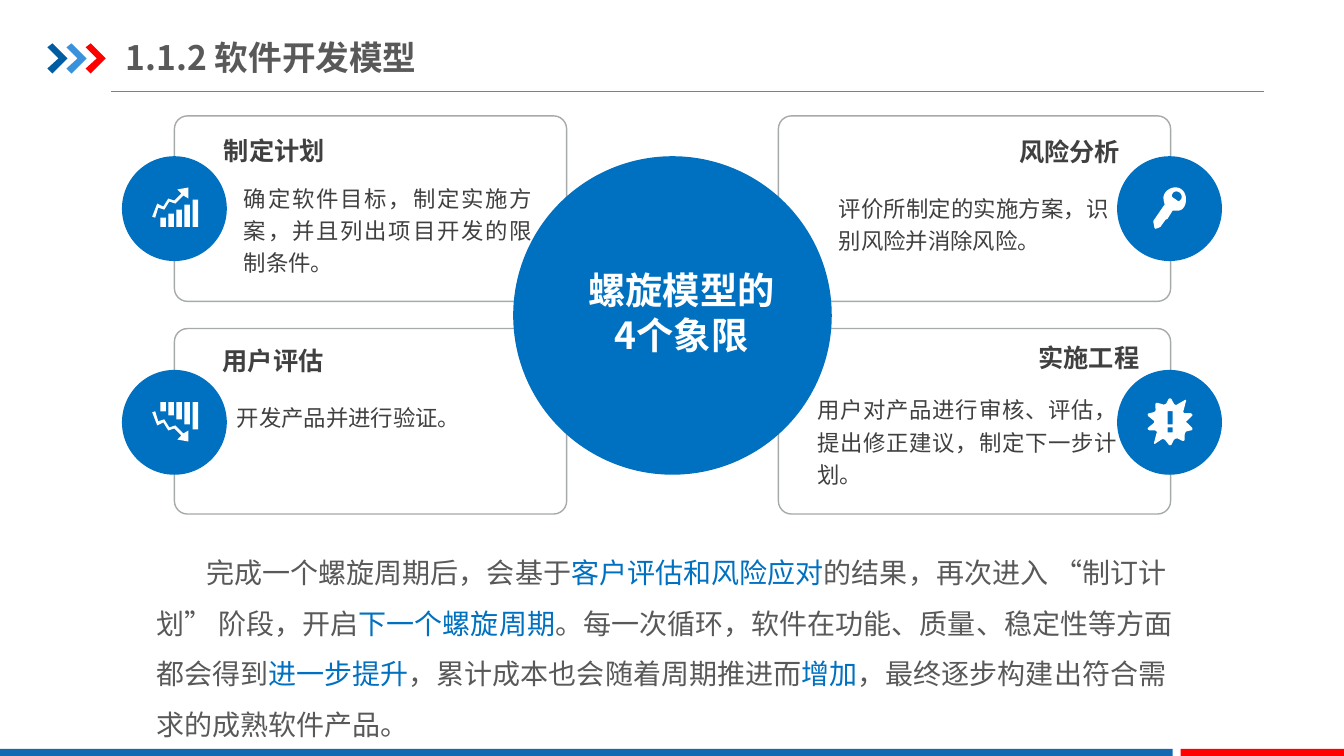
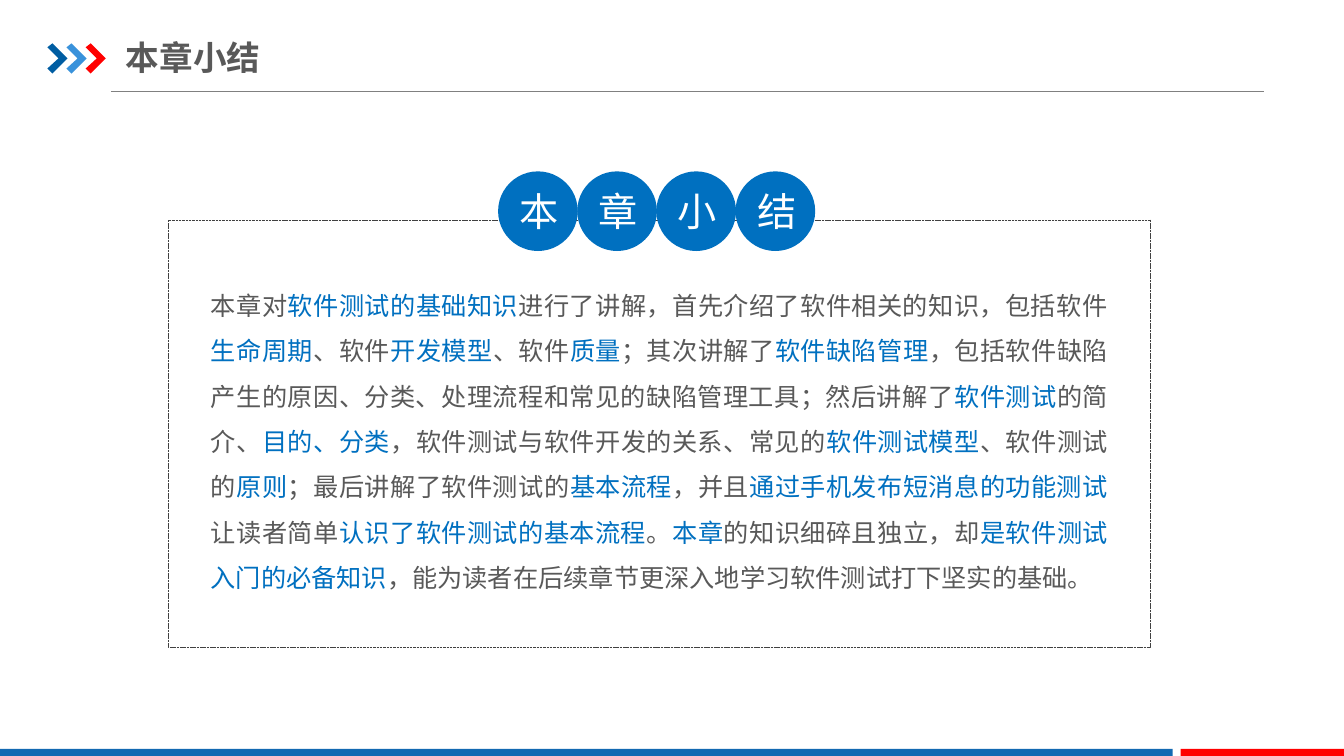
"""Build two slides: the spiral model's quadrants and the chapter summary."""
from dataclasses import dataclass
from typing import NamedTuple

from lxml import etree
from pptx import Presentation
from pptx import util as u
from pptx.dml import color as c
from pptx.enum import dml, shapes as s, text as t
from pptx.oxml import ns


@dataclass(frozen=True)
class Theme:
    font: str = "Noto Sans CJK SC"
    blue: str = "0070C0"
    navy: str = "005DA2"
    sky: str = "3992DB"
    band: str = "1369B2"
    red: str = "FF0000"
    white: str = "FFFFFF"
    ink: str = "404040"
    gray: str = "595959"
    edge: str = "A6AAA9"
    rule: str = "808080"
    title: float = 24
    head: float = 18
    body: float = 16
    lead: float = 20
    hub: float = 26.6
    mark: float = 28


class Box(NamedTuple):
    x: float
    y: float
    w: float
    h: float


class Style(NamedTuple):
    size: float
    color: str
    bold: bool = False
    align: t.PP_ALIGN = t.PP_ALIGN.LEFT
    mid: bool = False
    lines: float = 1.0
    indent: float = 0
    pad: tuple[float, float] = (0, 0)


class Card(NamedTuple):
    panel: tuple[float, float]
    badge: tuple[float, float]
    head: str
    spot: tuple[float, float]
    body: str
    box: Box
    right: bool


TH = Theme()
KIND = s.MSO_SHAPE
LEFT, MID, RIGHT, JUST = (t.PP_ALIGN.LEFT, t.PP_ALIGN.CENTER,
                          t.PP_ALIGN.RIGHT, t.PP_ALIGN.JUSTIFY)
Path = list[tuple[float, ...]]

CARDS = [
    Card((1.73, 1.15), (1.21, 1.55), "制定计划", (2.22, 1.24),
         "确定软件目标，制定实施方案，并且列出项目开发的限制条件。",
         Box(2.42, 1.78, 2.86, 0.98), False),
    Card((1.73, 3.26), (1.21, 3.67), "用户评估", (2.21, 3.33),
         "开发产品并进行验证。", Box(2.35, 3.96, 2.93, 0.92), False),
    Card((7.72, 1.15), (11.08, 1.55), "风险分析", (9.07, 1.28),
         "评价所制定的实施方案，识别风险并消除风险。",
         Box(8.32, 1.88, 2.68, 0.98), True),
    Card((7.72, 3.26), (11.08, 3.67), "实施工程", (9.26, 3.33),
         "用户对产品进行审核、评估，提出修正建议，制定下一步计划。",
         Box(8.11, 3.88, 2.97, 0.83), True),
]

CYCLE = ("完成一个螺旋周期后，会基于|客户评估和风险应对|的结果，再次进入 “制订计划” 阶段，开启"
         "|下一个螺旋周期|。每一次循环，软件在功能、质量、稳定性等方面都会得到|进一步提升"
         "|，累计成本也会随着周期推进而|增加|，最终逐步构建出符合需求的成熟软件产品。")

RECAP = ("本章对|软件测试的基础知识|进行了讲解，首先介绍了软件相关的知识，包括软件|生命周期|、软件"
         "|开发模型|、软件|质量|；其次讲解了|软件缺陷管理|，包括软件缺陷产生的原因、分类、处理流程和"
         "常见的缺陷管理工具；然后讲解了|软件测试|的简介、|目的、分类|，软件测试与软件开发的关系、常见的"
         "|软件测试模型|、软件测试的|原则|；最后讲解了软件测试的|基本流程|，并且"
         "|通过手机发布短消息的功能测试|让读者简单|认识了软件测试的基本流程|。|本章|的知识细碎且独立，却"
         "|是软件测试入门的必备知识|，能为读者在后续章节更深入地学习软件测试打下坚实的基础。")

TREND: Path = [
    (1.68, 2), (1.74, 2.02), (1.82, 1.94), (1.87, 1.97), (1.87, 1.86),
    (1.76, 1.88), (1.8, 1.92), (1.73, 1.99), (1.67, 1.97), (1.62, 2.05),
    (1.56, 2.02), (1.51, 2.15), (1.54, 2.16), (1.57, 2.06), (1.63, 2.08)]
TOPS = [2.16, 2.12, 2.08, 2.03, 1.98]

KEY: list[Path] = [
    [(11.76, 1.95), (11.75, 1.89, 11.7, 1.85, 11.64, 1.86),
     (11.58, 1.87, 11.53, 1.92, 11.54, 1.98),
     (11.54, 1.99, 11.55, 2.01, 11.55, 2.03), (11.44, 2.19), (11.44, 2.21),
     (11.45, 2.26), (11.46, 2.27), (11.49, 2.26), (11.51, 2.25),
     (11.56, 2.18), (11.58, 2.17), (11.63, 2.09),
     (11.65, 2.09, 11.67, 2.09, 11.69, 2.09),
     (11.75, 2.08, 11.77, 2.01, 11.76, 1.95)],
    [(11.71, 1.98), (11.69, 2.01, 11.68, 1.99, 11.65, 1.97),
     (11.63, 1.96, 11.61, 1.95, 11.63, 1.92),
     (11.64, 1.9, 11.67, 1.89, 11.7, 1.91),
     (11.72, 1.93, 11.73, 1.96, 11.71, 1.98)]]

BURST: Path = [
    (11.82, 4.24), (11.78, 4.2), (11.76, 4.19, 11.76, 4.18, 11.78, 4.17),
    (11.82, 4.13), (11.83, 4.12, 11.83, 4.11, 11.81, 4.1), (11.75, 4.1),
    (11.74, 4.1, 11.73, 4.08, 11.74, 4.07), (11.76, 3.99),
    (11.77, 3.97, 11.76, 3.96, 11.75, 3.97), (11.68, 4.01),
    (11.67, 4.02, 11.65, 4.02, 11.64, 4), (11.62, 3.96),
    (11.61, 3.95, 11.6, 3.95, 11.59, 3.96), (11.57, 4),
    (11.56, 4.01, 11.54, 4.02, 11.53, 4.01), (11.49, 4),
    (11.47, 3.99, 11.46, 4, 11.46, 4.01), (11.46, 4.05),
    (11.47, 4.07, 11.45, 4.09, 11.44, 4.09), (11.4, 4.1),
    (11.38, 4.1, 11.38, 4.12, 11.39, 4.13), (11.44, 4.17),
    (11.45, 4.18, 11.45, 4.19, 11.44, 4.2), (11.39, 4.24),
    (11.38, 4.25, 11.38, 4.26, 11.4, 4.27), (11.45, 4.27),
    (11.47, 4.27, 11.48, 4.29, 11.47, 4.3), (11.45, 4.38),
    (11.44, 4.4, 11.45, 4.41, 11.46, 4.4), (11.52, 4.36),
    (11.54, 4.35, 11.55, 4.36, 11.56, 4.37), (11.59, 4.41),
    (11.6, 4.42, 11.61, 4.42, 11.62, 4.41), (11.64, 4.37),
    (11.65, 4.35, 11.67, 4.35, 11.68, 4.35), (11.72, 4.37),
    (11.74, 4.38, 11.75, 4.37, 11.75, 4.36), (11.75, 4.32),
    (11.75, 4.3, 11.76, 4.28, 11.77, 4.28), (11.81, 4.27),
    (11.83, 4.27, 11.83, 4.25, 11.82, 4.24)]


def rgb(code: str) -> c.RGBColor:
    return c.RGBColor.from_string(code)


def paint(shape, fill: str | None, line: str | None = None, width: float = 1) -> None:
    shape.shadow.inherit = False
    if fill:
        shape.fill.solid()
        shape.fill.fore_color.rgb = rgb(fill)
    else:
        shape.fill.background()
    if line:
        shape.line.color.rgb = rgb(line)
        shape.line.width = u.Pt(width)
    else:
        shape.line.fill.background()


def preset(slide, kind: s.MSO_SHAPE, box: Box, fill: str | None,
           line: str | None = None, width: float = 1):
    shape = slide.shapes.add_shape(kind, *map(u.Inches, box))
    paint(shape, fill, line, width)
    return shape


def trace(path: Path) -> Path:
    pts = [path[0]]
    for step in path[1:]:
        if len(step) == 2:
            pts.append(step)
            continue
        knots = [pts[-1], step[:2], step[2:4], step[4:]]
        for i in range(1, 9):
            k = i / 8
            parts = ((1 - k) ** 3, 3 * k * (1 - k) ** 2, 3 * k * k * (1 - k), k ** 3)
            pts.append(tuple(sum(p * q[a] for p, q in zip(parts, knots))
                             for a in (0, 1)))
    return pts


def outline(slide, paths: list[Path], fill: str) -> None:
    build = None
    for path in paths:
        pts = [(u.Inches(x), u.Inches(y)) for x, y in trace(path)]
        if build is None:
            build = slide.shapes.build_freeform(*pts[0])
        else:
            build.move_to(*pts[0])
        build.add_line_segments(pts[1:], close=True)
    paint(build.convert_to_shape(), fill)


def block(x: float, y: float, end: float, low: float) -> Path:
    return [(x, y), (end, y), (end, low), (x, low)]


def write(shape, words: str, style: Style) -> None:
    frame = shape.text_frame
    frame.word_wrap = True
    frame.margin_left = frame.margin_right = u.Inches(style.pad[0])
    frame.margin_top = frame.margin_bottom = u.Inches(style.pad[1])
    frame.vertical_anchor = t.MSO_ANCHOR.MIDDLE if style.mid else t.MSO_ANCHOR.TOP
    para = frame.paragraphs[0]
    para.alignment = style.align
    para.line_spacing = style.lines
    font = para.font
    font.size, font.bold, font.name = u.Pt(style.size), style.bold, TH.font
    font.color.rgb = rgb(style.color)
    props = para._p.get_or_add_pPr()
    if style.indent:
        props.set("indent", str(u.Inches(style.indent)))
    etree.SubElement(props.find(ns.qn("a:defRPr")), ns.qn("a:ea"), typeface=TH.font)
    for i, part in enumerate(words.split("|")):
        run = para.add_run()
        run.text = part
        if i % 2:
            run.font.color.rgb = rgb(TH.blue)


def label(slide, box: Box, words: str, style: Style) -> None:
    write(slide.shapes.add_textbox(*map(u.Inches, box)), words, style)


def start(deck, title: str):
    slide = deck.slides.add_slide(deck.slide_layouts[6])
    rule = slide.shapes.add_connector(
        s.MSO_CONNECTOR.STRAIGHT, *map(u.Inches, (1.1, 0.91, 12.54, 0.91)))
    rule.line.color.rgb = rgb(TH.rule)
    rule.line.width = u.Pt(0.75)
    etree.SubElement(rule._element.spPr, ns.qn("a:effectLst"))
    for i, hue in enumerate((TH.navy, TH.sky, TH.red)):
        x = 0.47 + 0.19 * i
        outline(slide, [[(x, 0.47), (x + 0.05, 0.43), (x + 0.2, 0.58),
                         (x + 0.05, 0.73), (x, 0.68), (x + 0.11, 0.58)]], hue)
    preset(slide, KIND.RECTANGLE, Box(0, 7.43, 11.63, 0.09), TH.band)
    preset(slide, KIND.RECTANGLE, Box(11.71, 7.43, 1.63, 0.09), TH.red)
    label(slide, Box(1.25, 0.29, 6.2, 0.55), title,
          Style(TH.title, TH.gray, True, mid=True, pad=(0, 0.07)))
    return slide


def spiral(deck) -> None:
    slide = start(deck, "1.1.2 软件开发模型")
    for card in CARDS:
        panel = preset(slide, KIND.ROUNDED_RECTANGLE, Box(*card.panel, 3.89, 1.84),
                       None, TH.edge)
        panel.adjustments[0] = 0.07
    preset(slide, KIND.OVAL, Box(5.09, 1.55, 3.16, 3.16), TH.blue)
    for card in CARDS:
        label(slide, card.box, card.body,
              Style(TH.body, TH.ink, align=JUST, lines=1.2))
        label(slide, Box(*card.spot, 2.04, 0.44), card.head,
              Style(TH.head, TH.ink, True, RIGHT if card.right else LEFT, True,
                    1.0 if card.right else 1.2))
        preset(slide, KIND.OVAL, Box(*card.badge, 1.04, 1.04), TH.blue)
    bars = [block(1.59 + 0.08 * i, top, 1.645 + 0.08 * i, 2.25)
            for i, top in enumerate(TOPS)]
    rise = [TREND, *bars]
    fall = [[(x, 6.24 - y) for x, y in path] for path in rise]
    mark = [block(11.58, 4.08, 11.63, 4.21), block(11.58, 4.24, 11.63, 4.29)]
    for icon in (rise, fall, KEY, [BURST, *mark]):
        outline(slide, icon, TH.white)
    label(slide, Box(5.81, 2.66, 1.9, 0.87), "螺旋模型的4个象限",
          Style(TH.hub, TH.white, True, MID, True))
    label(slide, Box(1.45, 5.3, 10.44, 2.07), CYCLE,
          Style(TH.lead, TH.gray, lines=1.5, indent=0.5, pad=(0.1, 0.05)))


def summary(deck) -> None:
    slide = start(deck, "本章小结")
    frame = preset(slide, KIND.RECTANGLE, Box(1.67, 2.18, 9.74, 4.24),
                   None, TH.ink, 0.25)
    frame.line.dash_style = dml.MSO_LINE.SQUARE_DOT
    label(slide, Box(2.09, 2.73, 8.9, 3.18), RECAP,
          Style(TH.head, TH.gray, align=JUST, lines=1.5))
    for i, sign in enumerate("本章小结"):
        disc = preset(slide, KIND.OVAL, Box(4.94 + 0.785 * i, 1.7, 0.79, 0.79), TH.blue)
        write(disc, sign, Style(TH.mark, TH.white, align=MID, mid=True, pad=(0.1, 0.05)))


def main() -> None:
    deck = Presentation()
    deck.slide_width, deck.slide_height = u.Inches(13.33), u.Inches(7.5)
    spiral(deck)
    summary(deck)
    deck.save("out.pptx")


if __name__ == "__main__":
    main()
